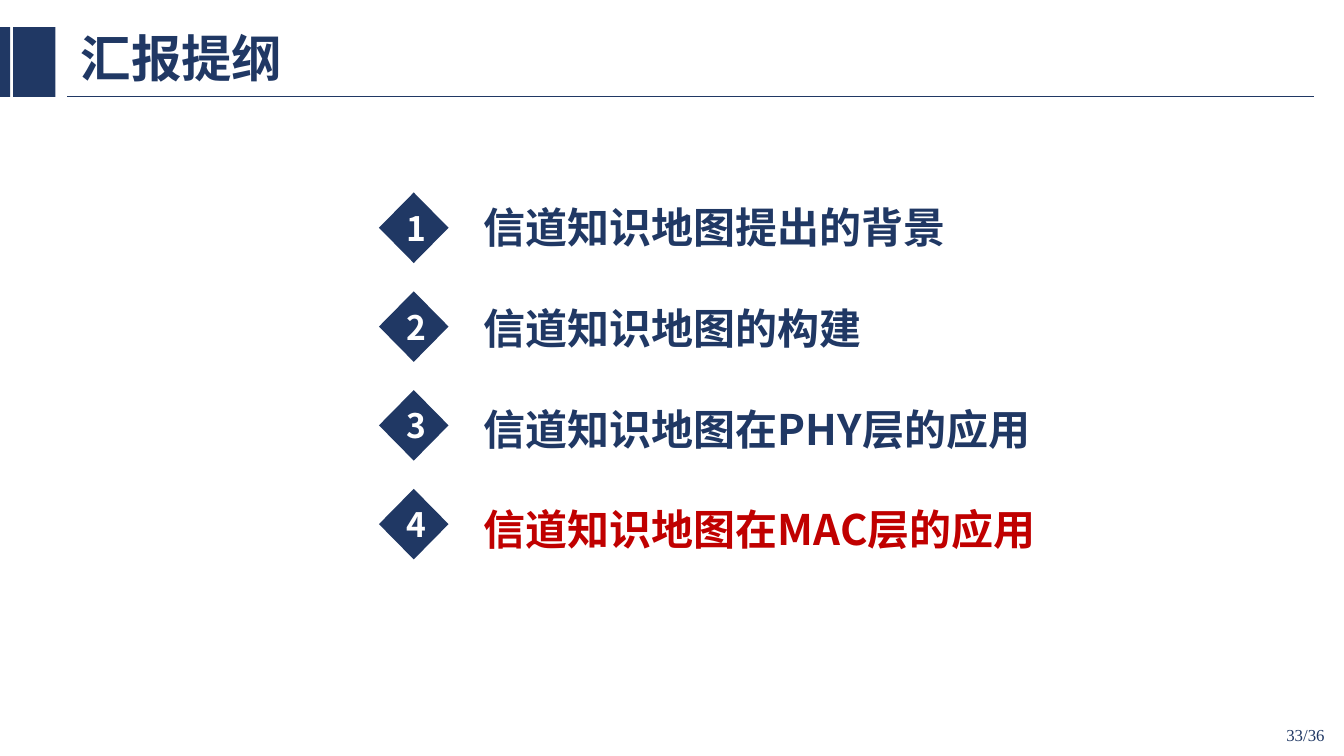
from lxml import etree
from pptx import Presentation
from pptx.dml.color import RGBColor
from pptx.enum.shapes import MSO_CONNECTOR, MSO_SHAPE
from pptx.enum.text import MSO_ANCHOR, MSO_AUTO_SIZE, PP_ALIGN
from pptx.oxml.ns import qn
from pptx.util import Inches, Pt

NAVY = RGBColor(0x20, 0x38, 0x64)
RED = RGBColor(0xC0, 0x00, 0x00)
WHITE = RGBColor(0xFF, 0xFF, 0xFF)
SANS, SERIF = "Noto Sans CJK SC", "Times New Roman"
LEFT, CENTER, RIGHT = PP_ALIGN.LEFT, PP_ALIGN.CENTER, PP_ALIGN.RIGHT
TOP, MIDDLE = MSO_ANCHOR.TOP, MSO_ANCHOR.MIDDLE
RECTANGLE, DIAMOND = MSO_SHAPE.RECTANGLE, MSO_SHAPE.DIAMOND
STRAIGHT, NO_FIT = MSO_CONNECTOR.STRAIGHT, MSO_AUTO_SIZE.NONE
COLUMNS, ROWS = 40, 30
TOPICS = [
    ("信道知识地图提出的背景", NAVY),
    ("信道知识地图的构建", NAVY),
    ("信道知识地图在PHY层的应用", NAVY),
    ("信道知识地图在MAC层的应用", RED),
]


class AgendaPage:
    """Draws agenda elements on one slide, measured in grid columns and rows."""

    def __init__(self, deck):
        self.column = deck.slide_width / COLUMNS
        self.row = deck.slide_height / ROWS
        self.page = deck.slides.add_slide(deck.slide_layouts[1])
        self.shapes = self.page.shapes

    def area(self, left, top, width, height):
        return [int(left * self.column), int(top * self.row),
                int(width * self.column), int(height * self.row)]

    def add_text(self, para, text, size, color, font=SANS, bold=True, **layout):
        for name, value in layout.items():
            setattr(para, name, value)
        span = para.add_run()
        span.text = text
        for name, value in {"size": Pt(size), "bold": bold, "name": font}.items():
            setattr(span.font, name, value)
        span.font.color.rgb = color
        east_asian = etree.SubElement(span._r.get_or_add_rPr(), qn("a:ea"))
        east_asian.set("typeface", font)

    def frame(self, box, anchor):
        frame = box.text_frame
        settings = {"word_wrap": True, "auto_size": NO_FIT, "vertical_anchor": anchor}
        for name, value in settings.items():
            setattr(frame, name, value)
        return frame

    def move(self, box, area):
        for name, value in zip(("left", "top", "width", "height"), self.area(*area)):
            setattr(box, name, value)

    def title(self, area, text):
        box = self.shapes.title
        self.move(box, area)
        para = self.frame(box, MIDDLE).paragraphs[0]
        self.add_text(para, text, 36, NAVY, alignment=LEFT, line_spacing=0.9)

    def topics(self, area, topics):
        box = self.page.placeholders[1]
        self.move(box, area)
        frame = self.frame(box, TOP)
        for index, (text, color) in enumerate(topics):
            para = frame.add_paragraph() if index else frame.paragraphs[0]
            properties = para._p.get_or_add_pPr()
            properties.set("marL", "0")
            properties.set("indent", "0")
            etree.SubElement(properties, qn("a:buNone"))
            self.add_text(para, text, 30, color, alignment=LEFT, line_spacing=Pt(36),
                          space_before=Pt(36 if index else 0))

    def shape(self, kind, area, number=""):
        box = self.shapes.add_shape(kind, *self.area(*area))
        box.shadow.inherit = False
        box.fill.solid()
        box.fill.fore_color.rgb = NAVY
        box.line.fill.background()
        if number:
            para = self.frame(box, MIDDLE).paragraphs[0]
            self.add_text(para, number, 24, WHITE, alignment=CENTER)

    def rule(self, left, right, top):
        start_x, start_y, length, _ = self.area(left, top, right - left, 0)
        line = self.shapes.add_connector(
            STRAIGHT, start_x, start_y, start_x + length, start_y)
        line.line.color.rgb = NAVY
        line.line.width = Pt(1)
        etree.SubElement(line._element.spPr, qn("a:effectLst"))

    def page_number(self, area, text):
        box = self.shapes.add_textbox(*self.area(*area))
        para = self.frame(box, MIDDLE).paragraphs[0]
        self.add_text(para, text, 12, NAVY, SERIF, False, alignment=RIGHT)


def main():
    deck = Presentation()
    deck.slide_width, deck.slide_height = Inches(13.33), Inches(7.5)
    agenda = AgendaPage(deck)
    agenda.rule(2, 39.1, 3.84)
    for left, width in ((0, 0.3), (0.39, 1.26)):
        agenda.shape(RECTANGLE, (left, 1.08, width, 2.76))
    agenda.title((2.1, 0.84, 8.07, 3.2), "汇报提纲")
    agenda.topics((14.1, 7.8, 17.58, 16.4), TOPICS)
    for index in range(len(TOPICS)):
        agenda.shape(DIAMOND, (11.28, 7.64 + 3.92 * index, 2.07, 2.8), str(index + 1))
    agenda.page_number((30.72, 28.36, 9, 1.6), "33/36")
    deck.save("out.pptx")


if __name__ == "__main__":
    main()
